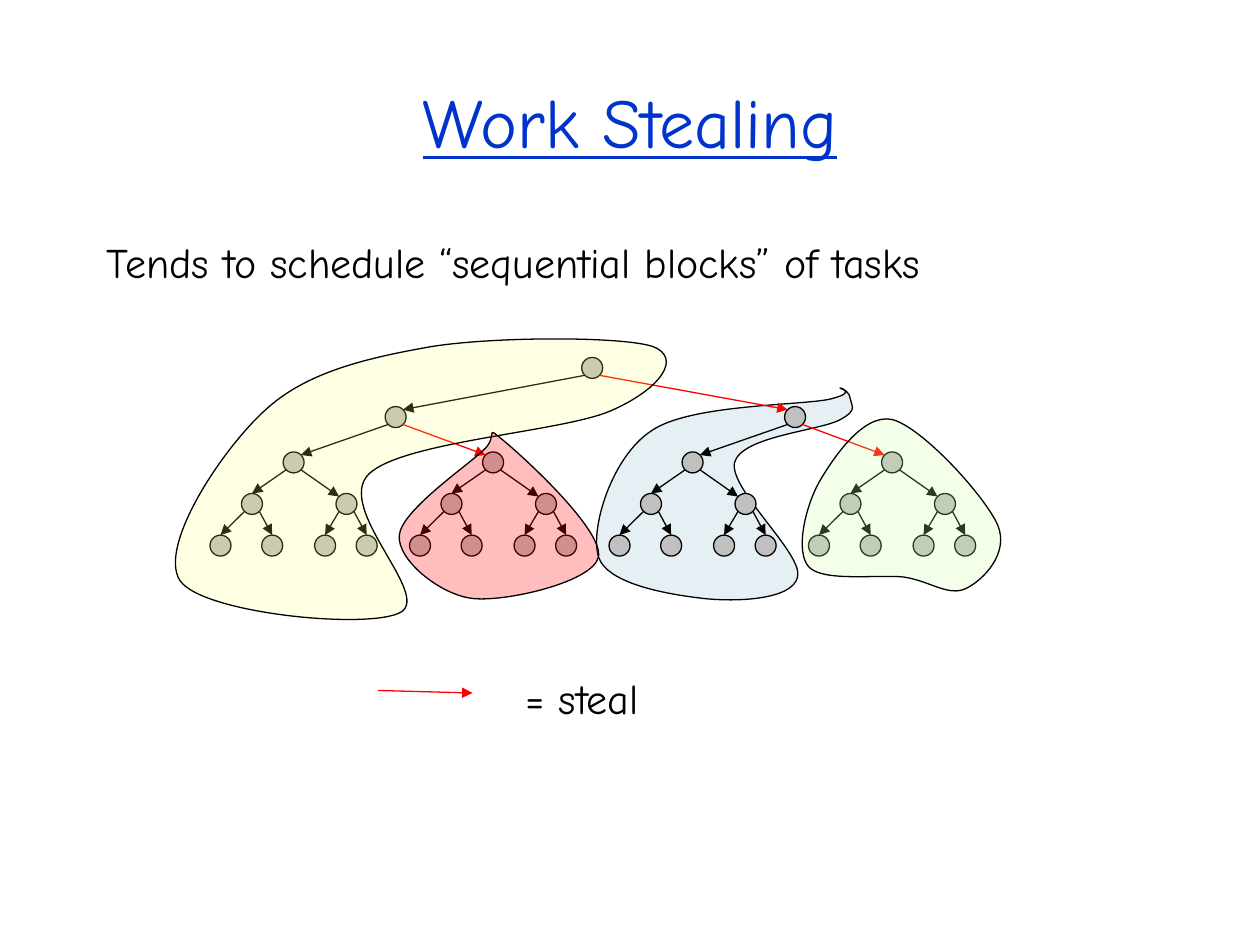
import dataclasses
import math
import typing

import lxml.etree
import pptx
import pptx.dml.color
import pptx.enum.shapes
import pptx.enum.text
import pptx.oxml.ns
import pptx.util

qn = pptx.oxml.ns.qn
Point = tuple[float, float]


@dataclasses.dataclass(frozen=True)
class Theme:
    font: str = "Comic Neue"
    title_size: int = 40
    body_size: int = 24
    line_width: float = 0.75
    title: str = "0033CC"
    ink: str = "000000"
    steal: str = "FF0000"
    node: str = "C0C0C0"
    yellow: str = "FFFF66"
    red: str = "FF0000"
    blue: str = "A7CCD9"
    green: str = "CCFF99"


@dataclasses.dataclass(frozen=True)
class Node:
    """A task, placed by its centre."""
    x: float
    y: float


@dataclasses.dataclass(frozen=True)
class Region:
    """A closed Bézier outline: a start, then three points for each curve."""
    color: str
    opacity: int
    points: tuple[Point, ...]


THEME = Theme()
RADIUS = 1 / 12
CORNER = RADIUS * math.sqrt(0.5)
LEVELS = (2.92, 3.31, 3.67, 4, 4.33)
BLOCK_X = [2.33 + i * 19 / 12 for i in range(4)]

BLUE = Region(THEME.blue, 28, (
    (6.67, 3.08), (6.64, 3.08), (6.83, 3.11), (6.58, 3.17),
    (6.33, 3.22), (5.47, 3.21), (5.17, 3.42),
    (4.86, 3.62), (4.68, 4.19), (4.75, 4.42),
    (4.82, 4.64), (5.32, 4.72), (5.58, 4.75),
    (5.85, 4.78), (6.29, 4.76), (6.33, 4.58),
    (6.38, 4.4), (5.78, 3.88), (5.83, 3.67),
    (5.89, 3.46), (6.51, 3.42), (6.67, 3.33),
    (6.82, 3.25), (6.75, 3.21), (6.75, 3.17),
    (6.75, 3.12), (6.69, 3.08), (6.67, 3.08)))
YELLOW = Region(THEME.yellow, 18, (
    (5.18, 2.75), (4.94, 2.67), (3.94, 2.67), (3.43, 2.75),
    (2.92, 2.84), (2.43, 2.95), (2.1, 3.26),
    (1.76, 3.57), (1.25, 4.34), (1.43, 4.61),
    (1.61, 4.87), (2.93, 5), (3.18, 4.86),
    (3.43, 4.72), (2.65, 4.03), (2.93, 3.76),
    (3.21, 3.5), (4.46, 3.43), (4.85, 3.26),
    (5.24, 3.09), (5.42, 2.84), (5.18, 2.75)))
RED = Region(THEME.red, 26, (
    (3.83, 3.58), (3.69, 3.71), (3.18, 4.06), (3.17, 4.25),
    (3.15, 4.44), (3.49, 4.72), (3.75, 4.75),
    (4.01, 4.78), (4.71, 4.62), (4.75, 4.42),
    (4.79, 4.21), (4.17, 3.64), (4, 3.5),
    (3.83, 3.36), (3.97, 3.46), (3.83, 3.58)))
GREEN = Region(THEME.green, 22, (
    (7.17, 4.58), (6.96, 4.56), (6.53, 4.62), (6.42, 4.5),
    (6.31, 4.38), (6.39, 4.03), (6.5, 3.83),
    (6.61, 3.64), (6.85, 3.28), (7.08, 3.33),
    (7.32, 3.39), (7.82, 3.94), (7.92, 4.17),
    (8.01, 4.39), (7.81, 4.6), (7.67, 4.67),
    (7.53, 4.74), (7.38, 4.61), (7.17, 4.58)))


def grid(v: float) -> pptx.util.Length:
    """Length of v grid cells, each 2.54 cm."""
    return pptx.util.Cm(2.54 * v)


def rgb(color: str) -> pptx.dml.color.RGBColor:
    return pptx.dml.color.RGBColor.from_string(color)


def set_line(shape: typing.Any, color: str) -> None:
    shape.line.color.rgb = rgb(color)
    shape.line.width = pptx.util.Pt(THEME.line_width)


def set_fill(shape: typing.Any, color: str) -> None:
    shape.fill.solid()
    shape.fill.fore_color.rgb = rgb(color)
    shape.shadow.inherit = False


def add_text(s: typing.Any, text: str, box: tuple[float, float, float, float], *,
             size: int = THEME.body_size, color: str = THEME.ink,
             underline: bool = False, wrap: bool = True,
             align: typing.Any = pptx.enum.text.PP_ALIGN.LEFT,
             anchor: typing.Any = pptx.enum.text.MSO_ANCHOR.TOP) -> None:
    tf = s.shapes.add_textbox(*map(grid, box)).text_frame
    tf.word_wrap = wrap
    tf.vertical_anchor = anchor
    p = tf.paragraphs[0]
    p.alignment = align
    r = p.add_run()
    r.text = text
    r.font.name = THEME.font
    r.font.size = pptx.util.Pt(size)
    r.font.color.rgb = rgb(color)
    r.font.underline = underline


def add_arrow(s: typing.Any, start: Point, end: Point, color: str = THEME.ink) -> None:
    c = s.shapes.add_connector(pptx.enum.shapes.MSO_CONNECTOR.STRAIGHT,
                               *map(grid, start + end))
    set_line(c, color)
    lxml.etree.SubElement(c.line._get_or_add_ln(), qn("a:tailEnd"), type="triangle")
    lxml.etree.SubElement(c._element.spPr, qn("a:effectLst"))


def add_node(s: typing.Any, x: float, y: float) -> Node:
    sp = s.shapes.add_shape(pptx.enum.shapes.MSO_SHAPE.OVAL, grid(x - RADIUS),
                            grid(y - RADIUS), grid(2 * RADIUS), grid(2 * RADIUS))
    set_fill(sp, THEME.node)
    set_line(sp, THEME.ink)
    return Node(x, y)


def link(s: typing.Any, parent: Node, child: Node, *, to_top: bool = False,
         color: str = THEME.ink) -> None:
    """Arrow from the parent's lower corner to the child's top or near corner."""
    side = math.copysign(CORNER, child.x - parent.x)
    end = ((child.x, child.y - RADIUS) if to_top
           else (child.x - side, child.y - CORNER))
    add_arrow(s, (parent.x + side, parent.y + CORNER), end, color)


def add_block(s: typing.Any, x: float) -> Node:
    """Three-level subtree of seven tasks; returns its root."""
    root = add_node(s, x, LEVELS[2])
    for dx, leaves in ((-0.33, (-0.58, -0.17)), (0.42, (0.25, 0.58))):
        child = add_node(s, x + dx, LEVELS[3])
        link(s, root, child, to_top=dx < 0)
        for leaf_dx in leaves:
            link(s, child, add_node(s, x + leaf_dx, LEVELS[4]), to_top=True)
    return root


def add_fork(s: typing.Any, x: float, y: float, kept: Node, stolen: Node) -> Node:
    node = add_node(s, x, y)
    link(s, node, kept)
    link(s, node, stolen, color=THEME.steal)
    return node


def add_region(s: typing.Any, region: Region) -> None:
    points = [(grid(x), grid(y)) for x, y in region.points]
    builder = s.shapes.build_freeform(*points[0])
    builder.add_line_segments(points[1:], close=True)
    sp = builder.convert_to_shape()
    # Each run of three segments holds the control points of one curve.
    segments = list(sp._element.iter(qn("a:lnTo")))
    for i in range(0, len(segments), 3):
        curve = lxml.etree.Element(qn("a:cubicBezTo"))
        segments[i].addprevious(curve)
        for segment in segments[i:i + 3]:
            curve.append(segment[0])
            segment.getparent().remove(segment)
    set_fill(sp, region.color)
    set_line(sp, THEME.ink)
    color = sp._element.spPr.find(qn("a:solidFill"))[0]
    lxml.etree.SubElement(color, qn("a:alpha"), val=str(region.opacity * 1000))


def main() -> None:
    prs = pptx.Presentation()
    prs.slide_width, prs.slide_height = pptx.util.Cm(25.4), pptx.util.Cm(19.05)
    s = prs.slides.add_slide(prs.slide_layouts[6])

    add_region(s, BLUE)
    add_text(s, "Work Stealing", (0.75, 0.5, 8.5, 0.92), size=THEME.title_size,
             color=THEME.title, underline=True,
             align=pptx.enum.text.PP_ALIGN.CENTER,
             anchor=pptx.enum.text.MSO_ANCHOR.MIDDLE)
    add_text(s, "Tends to schedule “sequential blocks” of tasks",
             (0.75, 1.83, 8.5, 0.75))

    blocks = [add_block(s, x) for x in BLOCK_X]
    left = add_fork(s, 3.14, LEVELS[1], *blocks[:2])
    right = add_fork(s, 6.31, LEVELS[1], *blocks[2:])
    add_fork(s, 4.7, LEVELS[0], left, right)
    for region in (YELLOW, RED, GREEN):
        add_region(s, region)

    add_arrow(s, (3, 5.48), (3.75, 5.5), THEME.steal)
    add_text(s, "= steal", (4.07, 5.29, 1.24, 0.5), wrap=False)
    prs.save("out.pptx")


if __name__ == "__main__":
    main()
